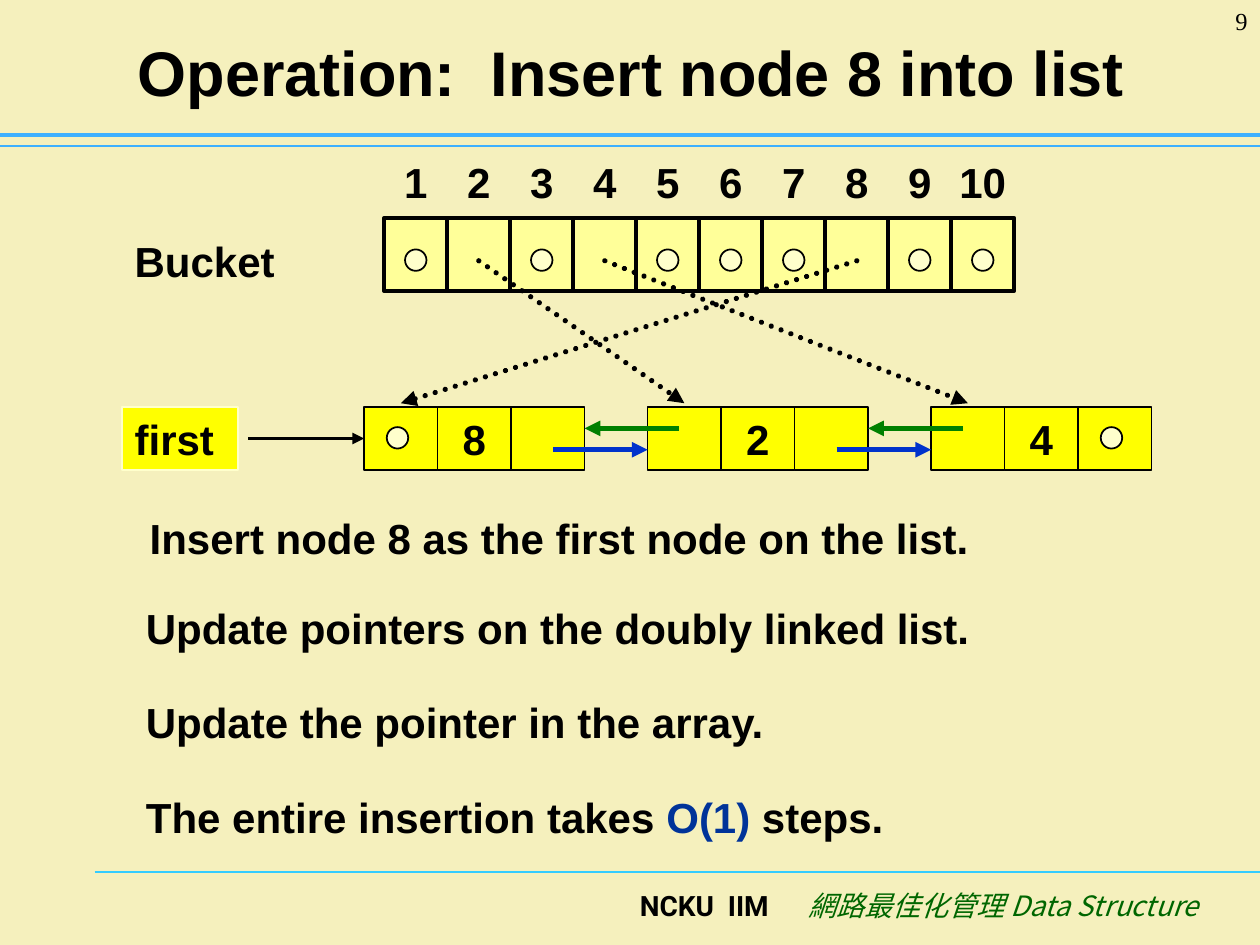
from pptx import Presentation
from pptx.dml.color import RGBColor
from pptx.enum.dml import MSO_LINE_DASH_STYLE as DASH
from pptx.enum.shapes import MSO_CONNECTOR, MSO_SHAPE as SHAPE
from pptx.enum.text import MSO_ANCHOR as ANCHOR, PP_ALIGN as ALIGN
from pptx.oxml.ns import qn
from pptx.util import Inches, Pt
from lxml.etree import SubElement

BLACK = RGBColor(0x00, 0x00, 0x00)
CREAM = RGBColor(0xF5, 0xF0, 0xBD)
PALE = RGBColor(0xFF, 0xFF, 0xCC)
BUCKET = RGBColor(0xFF, 0xFF, 0x99)
YELLOW = RGBColor(0xFF, 0xFF, 0x00)
SKY = RGBColor(0x3D, 0xB0, 0xFF)
CYAN = RGBColor(0x33, 0xCC, 0xFF)
BLUE = RGBColor(0x00, 0x33, 0xCC)
NAVY = RGBColor(0x00, 0x33, 0x99)
GREEN = RGBColor(0x00, 0x80, 0x00)
DARK_GREEN = RGBColor(0x00, 0x66, 0x00)

prs = Presentation()
prs.slide_width, prs.slide_height = Inches(10), Inches(7.5)
slide = prs.slides.add_slide(prs.slide_layouts[6])
slide.background.fill.solid()
slide.background.fill.fore_color.rgb = CREAM


def add_box(x, y, w, h, text="", kind=None, fill=None, line=BLACK, weight=1, size=24,
            font="Arial", bold=True, color=BLACK, align=ALIGN.LEFT, anchor=ANCHOR.TOP, inset=0.1):
    """Text box, or a filled preset shape when kind is given."""
    at = [Inches(v) for v in (x, y, w, h)]
    if kind is None:
        sp = slide.shapes.add_textbox(*at)
    else:
        sp = slide.shapes.add_shape(kind, *at)
        sp.shadow.inherit = False
        sp.fill.solid()
        sp.fill.fore_color.rgb = fill
        sp.line.color.rgb = line
        sp.line.width = Pt(weight)
    if text:
        tf = sp.text_frame
        tf.text = text
        tf.word_wrap, tf.vertical_anchor = True, anchor
        tf.margin_left = tf.margin_right = Inches(inset)
        p = tf.paragraphs[0]
        p.alignment = align
        f = p.runs[0].font
        f.size, f.name, f.bold, f.color.rgb = Pt(size), font, bold, color
    return sp


def add_line(x1, y1, x2, y2, color=BLACK, weight=3.0, arrow=True, dash=None):
    """Straight connector, with an arrowhead at its end by default."""
    ends = [Inches(v) for v in (x1, y1, x2, y2)]
    c = slide.shapes.add_connector(MSO_CONNECTOR.STRAIGHT, *ends)
    c.line.color.rgb = color
    c.line.width = Pt(weight)
    ln = c.line._get_or_add_ln()
    if dash:
        c.line.dash_style = dash
        ln.set("cap", "rnd")
    if arrow:
        SubElement(ln, qn("a:tailEnd"), type="triangle")
    SubElement(c._element.spPr, qn("a:effectLst"))
    return c


# Rules, footer, slide number
add_line(0.75, 6.92, 10, 6.92, CYAN, 0.75, arrow=False)
add_line(0, 1.16, 10, 1.16, SKY, 0.75, arrow=False)
add_line(0, 1.07, 10, 1.07, SKY, 2.5, arrow=False)
add_box(4.2, 7, 2, 0.5, "NCKU  IIM", size=16, font="Roboto", align=ALIGN.RIGHT)
sp = add_box(6.2, 7, 3.41, 0.5, "網路最佳化管理 Data Structure", size=16, font="Noto Sans CJK SC",
             bold=False, color=DARK_GREEN, align=ALIGN.RIGHT)
r = sp.text_frame.paragraphs[0].runs[0]
r.font.italic = True
SubElement(r.font._element, qn("a:ea"), typeface="Noto Sans CJK SC")
add_box(9.17, 0, 0.83, 0.5, "9", size=14, font="Times New Roman", bold=False, align=ALIGN.RIGHT)

# Title
add_box(0.51, 0.13, 9, 0.87, "Operation:  Insert node 8 into list", size=36,
        align=ALIGN.CENTER, anchor=ANCHOR.MIDDLE)

# Grid: bucket columns and list nodes of three cells
COL, ROW, BUCKET_X, BUCKET_Y = 0.5, 0.58, 3.05, 1.73
CELL, NODE_H, NODE_STEP, NODE_X, NODE_Y = 1.75 / 3, 0.5, 2.25, 2.89, 3.23
DOT = 0.17
DIGIT = dict(align=ALIGN.CENTER, anchor=ANCHOR.MIDDLE, inset=0)
target_node = {8: 0, 2: 1, 4: 2}

# Bucket array
add_box(0.97, 1.82, 1.67, 0.5, "Bucket")
for i in range(10):
    x = BUCKET_X + i * COL
    add_box(x, BUCKET_Y - ROW, COL, ROW, str(i + 1), **DIGIT)
    add_box(x, BUCKET_Y, COL, ROW, kind=SHAPE.RECTANGLE, fill=BUCKET, weight=2.25)
    if i + 1 not in target_node:
        add_box(x + (COL - DOT) / 2, 1.98, DOT, DOT, kind=SHAPE.OVAL, fill=PALE)

# Doubly linked list
cells = []
for n, value in enumerate("824"):
    for k, text in enumerate(["", value, ""]):
        cells.append(add_box(NODE_X + n * NODE_STEP + k * CELL, NODE_Y, CELL, NODE_H, text,
                             kind=SHAPE.RECTANGLE, fill=YELLOW, **DIGIT))

# Null pointers at both ends of the list
for x in (NODE_X, NODE_X + 2 * NODE_STEP + 2 * CELL):
    add_box(x + 0.18, 3.39, DOT, DOT, kind=SHAPE.OVAL, fill=PALE)

# Links between neighbouring nodes
for n in range(2):
    left_end = NODE_X + n * NODE_STEP + 3 * CELL
    right_start = NODE_X + (n + 1) * NODE_STEP
    add_line(right_start + 0.25, 3.4, left_end, 3.4, GREEN)
    add_line(left_end - 0.25, 3.57, right_start, 3.57, BLUE)

# Bucket pointers into the list
for bucket, n in target_node.items():
    tip = NODE_X + n * NODE_STEP + CELL / 2
    add_line(BUCKET_X + (bucket - 0.5) * COL, 2.07, tip, 3.2, dash=DASH.ROUND_DOT)

# First pointer
add_box(0.97, NODE_Y, 0.92, NODE_H, "first", kind=SHAPE.RECTANGLE, fill=YELLOW, line=PALE)
c = add_line(1.97, NODE_Y + NODE_H / 2, NODE_X, NODE_Y + NODE_H / 2, weight=2.25)
c.end_connect(cells[0], 1)

# Steps
steps = [
    (1.09, 4.02, "Insert node 8 as the first node on the list."),
    (1.06, 4.73, "Update pointers on the doubly linked list."),
    (1.06, 5.48, "Update the pointer in the array."),
    (1.06, 6.23, "The entire insertion takes "),
]
for x, y, text in steps:
    sp = add_box(x, y, 6.83, 0.5, text)
p = sp.text_frame.paragraphs[0]
for text, color in (("O(1)", NAVY), (" steps.", BLACK)):
    r = p.add_run()
    r.text = text
    r.font.size, r.font.name, r.font.bold, r.font.color.rgb = Pt(24), "Arial", True, color

prs.save("out.pptx")
